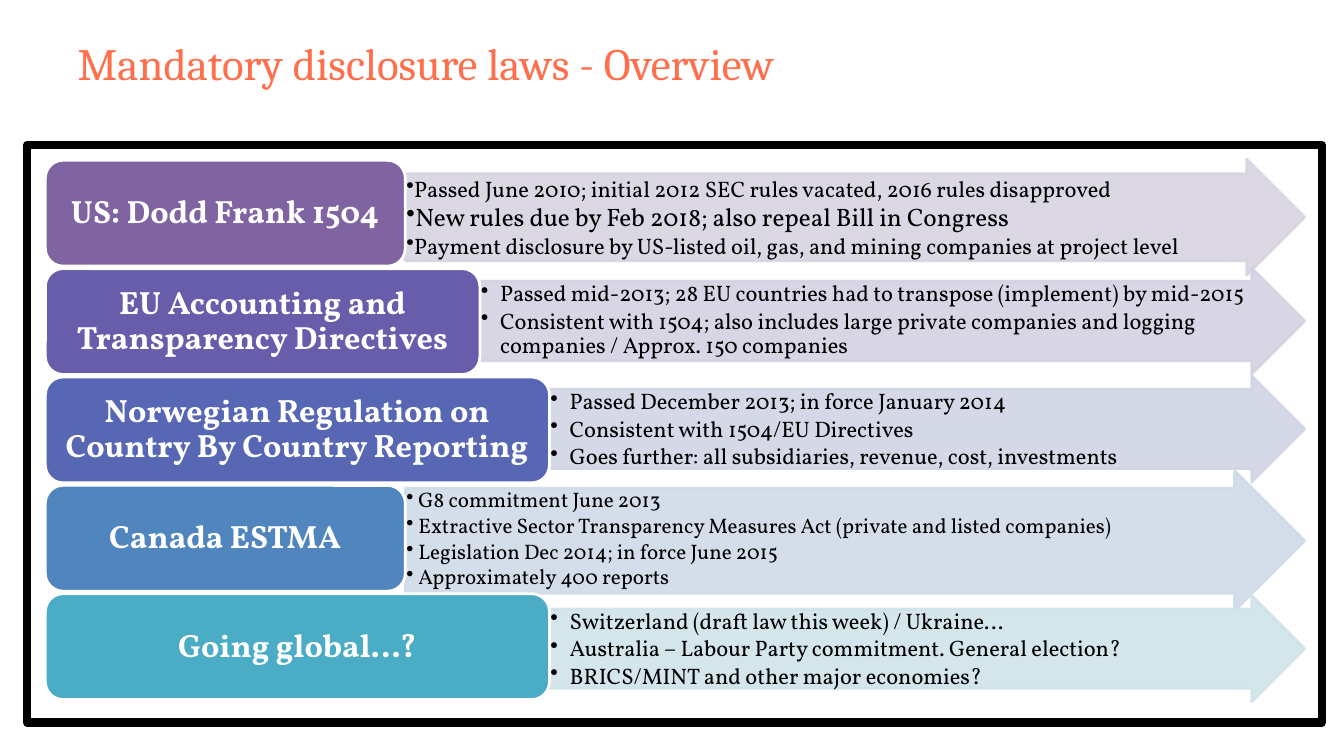
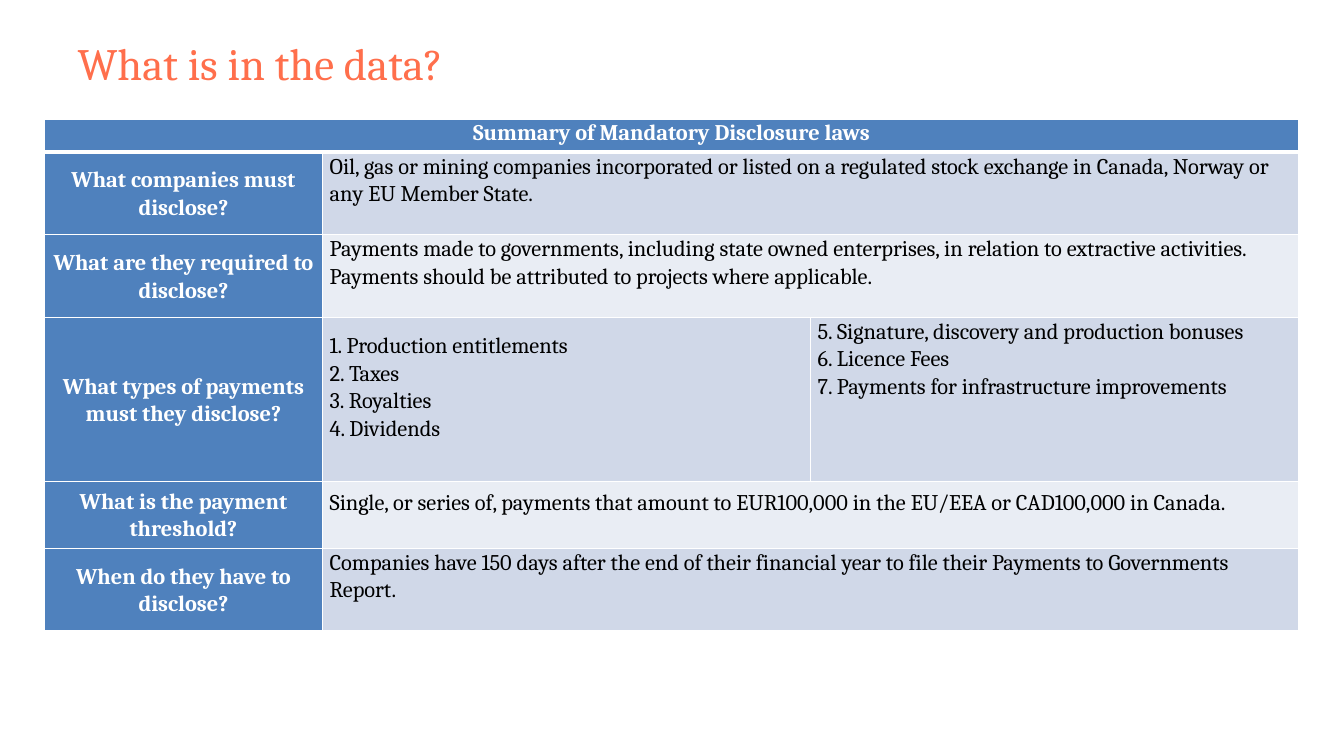
from lxml.etree import SubElement
from pptx import Presentation
from pptx.dml.color import RGBColor
from pptx.enum.shapes import MSO_SHAPE as Shape
from pptx.enum.text import MSO_ANCHOR as Anchor, PP_ALIGN as Align
from pptx.oxml.ns import qn
from pptx.util import Inches, Pt

SERIF, BODY = "Cambria", "Vollkorn"
ORANGE, BLACK, WHITE = "FF6F4C", "000000", "FFFFFF"
BLUE, BAND_DARK, BAND_LIGHT = "4F81BD", "D0D8E8", "E9EDF4"


def color(hex_string):
    return RGBColor.from_string(hex_string)


def style(paragraph, face, size, ink, bold=False, align=Align.LEFT, spacing=1.0):
    """Format a paragraph and its runs alike."""
    paragraph.alignment = align
    paragraph.line_spacing = spacing
    for run in paragraph.runs:
        run.font.name, run.font.size, run.font.bold = face, Pt(size), bold
        run.font.color.rgb = color(ink)


prs = Presentation()
prs.slide_width, prs.slide_height = Inches(13.33), Inches(7.5)

slides = []
for heading in ("Mandatory disclosure laws - Overview", "What is in the data?"):
    slide = prs.slides.add_slide(prs.slide_layouts[5])
    title = slide.shapes.title
    title.left, title.top = Inches(0.67), Inches(0.3)
    title.width, title.height = Inches(12), Inches(0.85)
    title.text_frame.text = heading
    title.text_frame.vertical_anchor = Anchor.TOP
    style(title.text_frame.paragraphs[0], SERIF, 32, ORANGE)
    slides.append(slide)
overview, data = slides

# Overview: one label and one arrow per law
LABEL_LEFT, LABEL_HEIGHT = 0.45, 1.05
FIRST_ROW, ROW_PITCH = 1.59, 1.075
ARROW_RIGHT = 12.94

# label, label width, label colour, arrow colour, arrow top, arrow height,
# hanging indent, line spacing, space after, facts with their text sizes
laws = [
    ("US: Dodd Frank 1504", 3.57, "8064A2", "D8D3E0", 1.58, 1.15, 0, 1.0, 0, [
        ("Passed June 2010; initial 2012 SEC rules vacated, 2016 rules disapproved", 16),
        ("New rules due by Feb 2018; also repeal Bill in Congress", 18),
        ("Payment disclosure by US-listed oil, gas, and mining companies at project level", 16)]),
    ("EU Accounting and Transparency Directives", 4.31, "685DAB", "D4D2E3",
     2.66, 1.05, 0.19, 0.9, 2.4, [
         ("Passed mid-2013; 28 EU countries had to transpose (implement) by mid-2015", 16),
         ("Consistent with 1504; also includes large private companies and logging "
          "companies / Approx. 150 companies", 16)]),
    ("Norwegian Regulation on Country By Country Reporting", 5, "5767B4", "D1D4E5",
     3.73, 1.05, 0.19, 0.9, 2.4, [
         ("Passed December 2013; in force January 2014", 16),
         ("Consistent with 1504/EU Directives", 16),
         ("Goes further: all subsidiaries, revenue, cost, investments", 16)]),
    ("Canada ESTMA", 3.57, "5185BD", "D0DBE8", 4.67, 1.39, 0.12, 0.9, 2.25, [
        ("G8 commitment June 2013", 15),
        ("Extractive Sector Transparency Measures Act (private and listed companies)", 15),
        ("Legislation Dec 2014; in force June 2015", 15),
        ("Approximately 400 reports", 15)]),
    ("Going global…?", 5, "4BACC6", "D0E3EA", 5.91, 1.05, 0.19, 0.9, 2.4, [
        ("Switzerland (draft law this week) / Ukraine…", 16),
        ("Australia – Labour Party commitment. General election?", 16),
        ("BRICS/MINT and other major economies?", 16)]),
]

for row, (name, width, strong, pale, top, height, indent, spacing, after, facts) in enumerate(laws):
    arrow_left = LABEL_LEFT + width
    arrow = overview.shapes.add_shape(
        Shape.RIGHT_ARROW, Inches(arrow_left), Inches(top),
        Inches(ARROW_RIGHT - arrow_left), Inches(height))
    arrow.adjustments[0], arrow.adjustments[1] = 0.75, 0.5
    label = overview.shapes.add_shape(
        Shape.ROUNDED_RECTANGLE, Inches(LABEL_LEFT), Inches(FIRST_ROW + row * ROW_PITCH),
        Inches(width), Inches(LABEL_HEIGHT))
    for part, fill, outline in ((arrow, pale, pale), (label, strong, WHITE)):
        part.shadow.inherit = False
        part.fill.solid()
        part.fill.fore_color.rgb = color(fill)
        part.line.color.rgb = color(outline)
        part.line.width = Pt(2)
    for tint in arrow._element.spPr.iter(qn("a:srgbClr")):
        SubElement(tint, qn("a:alpha"), val="90000")

    label.text_frame.text = name
    label.text_frame.word_wrap = True
    label.text_frame.vertical_anchor = Anchor.MIDDLE
    style(label.text_frame.paragraphs[0], BODY, 23, WHITE, True, Align.CENTER, 0.9)

    frame = arrow.text_frame
    frame.word_wrap = True
    frame.vertical_anchor = Anchor.TOP
    frame.margin_left = frame.margin_right = Inches(0.01)
    frame.margin_top = frame.margin_bottom = Inches(0.01)
    frame.text = "\n".join(fact for fact, _ in facts)
    for paragraph, (_, size) in zip(frame.paragraphs, facts):
        style(paragraph, BODY, size, BLACK, spacing=spacing)
        paragraph.space_after = Pt(after)
        props = paragraph._p.get_or_add_pPr()
        props.set("marL", str(Inches(indent)))
        props.set("indent", str(-Inches(indent)))
        SubElement(props, qn("a:buChar"), char="•")

border = overview.shapes.add_shape(
    Shape.RECTANGLE, Inches(0.27), Inches(1.44), Inches(12.84), Inches(5.73))
border.shadow.inherit = False
border.fill.background()
border.line.color.rgb = color(BLACK)
border.line.width = Pt(6)

# Data: summary table
COLUMN_WIDTHS = (2.76, 4.84, 4.84)
ROW_HEIGHTS = (0.33, 0.82, 0.82, 1.63, 0.66, 0.82)
summary = [
    ["Summary of Mandatory Disclosure laws"],
    ["What companies must disclose?",
     "Oil, gas or mining companies incorporated or listed on a regulated stock exchange "
     "in Canada, Norway or any EU Member State."],
    ["What are they required to disclose?",
     "Payments made to governments, including state owned enterprises, in relation to "
     "extractive activities. Payments should be attributed to projects where applicable."],
    ["What types of payments must they disclose?",
     "1. Production entitlements\n2. Taxes\n3. Royalties\n4. Dividends",
     "5. Signature, discovery and production bonuses\n6. Licence Fees\n"
     "7. Payments for infrastructure improvements"],
    ["What is the payment threshold?",
     "Single, or series of, payments that amount to EUR100,000 in the EU/EEA or "
     "CAD100,000 in Canada."],
    ["When do they have to disclose?",
     "Companies have 150 days after the end of their financial year to file their "
     "Payments to Governments Report."],
]
PAYMENT_TYPES, THRESHOLD = 3, 4
RAISED_ANSWERS = ((PAYMENT_TYPES, 1), (THRESHOLD, 1))

table = data.shapes.add_table(
    len(ROW_HEIGHTS), len(COLUMN_WIDTHS), Inches(0.44), Inches(1.18),
    Inches(sum(COLUMN_WIDTHS)), Inches(sum(ROW_HEIGHTS))).table
for column, width in zip(table.columns, COLUMN_WIDTHS):
    column.width = Inches(width)

for r, (texts, height) in enumerate(zip(summary, ROW_HEIGHTS)):
    table.rows[r].height = Inches(height)
    if len(texts) < len(COLUMN_WIDTHS):
        table.cell(r, len(texts) - 1).merge(table.cell(r, 2))
    for c in range(len(COLUMN_WIDTHS)):
        cell = table.cell(r, c)
        is_head = r == 0 or c == 0
        is_raised = (r, c) in RAISED_ANSWERS
        is_middle = is_raised or (r > 0 and c == 0)
        cell.margin_left = cell.margin_right = Inches(0.07)
        cell.margin_top = 0
        cell.margin_bottom = Inches(0.25 if is_raised else 0)
        cell.vertical_anchor = Anchor.MIDDLE if is_middle else Anchor.TOP
        for side in ("lnL", "lnR", "lnT", "lnB"):
            thick = (r, side) in ((0, "lnB"), (1, "lnT"))
            edge = SubElement(cell._tc.get_or_add_tcPr(), qn("a:" + side),
                              w=str(Pt(3 if thick else 1)))
            SubElement(SubElement(edge, qn("a:solidFill")), qn("a:srgbClr"), val=WHITE)
        cell.fill.solid()
        cell.fill.fore_color.rgb = color(
            BLUE if is_head else BAND_DARK if r % 2 else BAND_LIGHT)
        if c < len(texts):
            cell.text_frame.text = texts[c]
            for paragraph in cell.text_frame.paragraphs:
                style(paragraph, SERIF, 16, WHITE if is_head else BLACK, is_head,
                      Align.CENTER if is_head else Align.LEFT, 1.07)

prs.save("out.pptx")
